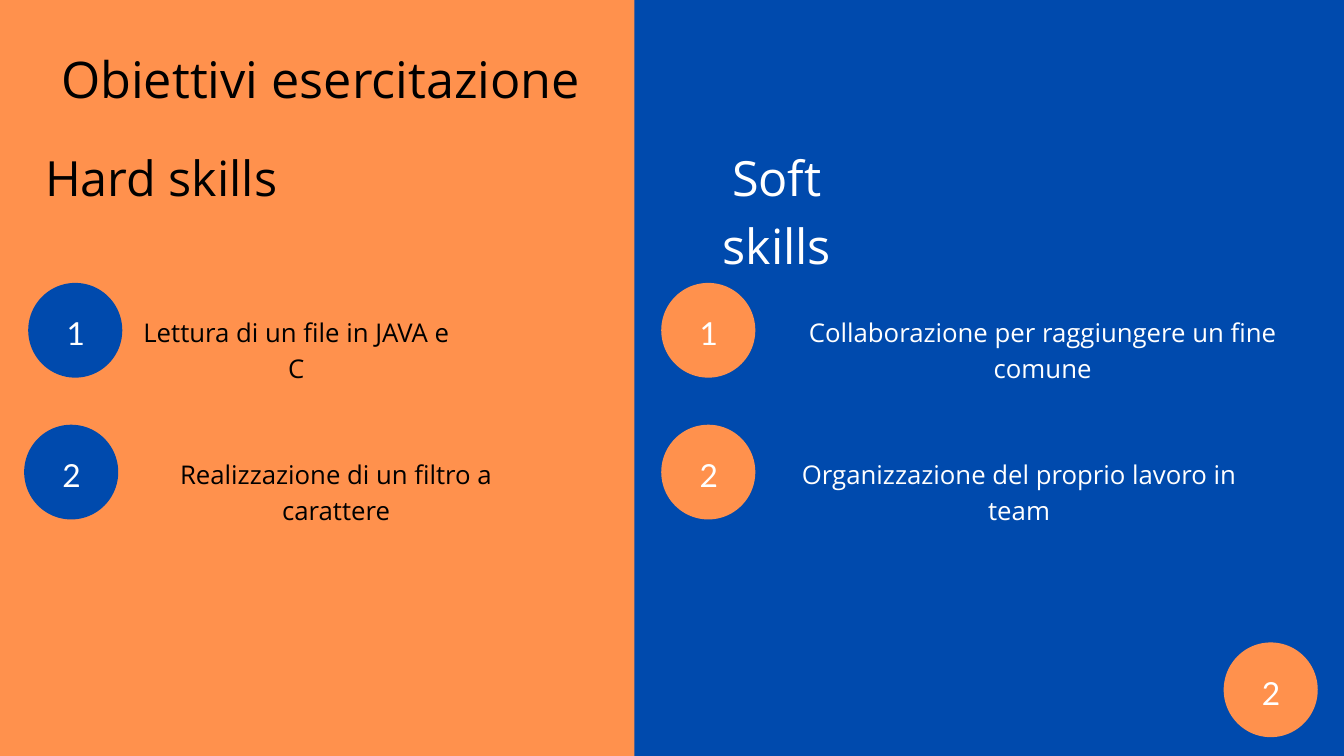
from pptx import Presentation
from pptx.dml.color import RGBColor
from pptx.enum.shapes import MSO_SHAPE as Kind
from pptx.enum.text import PP_ALIGN as Align, MSO_AUTO_SIZE as Fit
from pptx.util import Inches, Pt

ORANGE, BLUE, BLACK, WHITE = "FF914D", "004AAD", "000000", "FFFFFF"
HEADS = [
    ("Obiettivi esercitazione", 0.36, 0.56, 8.83, 1.01, 54, BLACK),
    ("Hard skills", 0.67, 2.06, 3.46, 0.96, 52, BLACK),
    ("Soft skills", 10, 2.06, 3.12, 0.96, 52, WHITE),
]
SKILLS = [
    (BLUE, BLACK, [
        (0.42, 2.04, 4.74, "Lettura di un file in JAVA e C"),
        (0.36, 1.94, 6.12, "Realizzazione di un filtro a carattere"),
    ]),
    (ORANGE, WHITE, [
        (9.84, 11.41, 8.21, "Collaborazione per raggiungere un fine comune"),
        (9.84, 11.56, 7.21, "Organizzazione del proprio lavoro in team"),
    ]),
]
PAGE = (18.21, 9.56, "2")
TOP, STEP = 4.21, 2.11
FRAME = dict(word_wrap=True, auto_size=Fit.NONE, margin_left=0,
             margin_right=0, margin_top=0, margin_bottom=0)


def apply(item, form):
    for key, value in form.items():
        setattr(item, key, value)


def tint(name):
    return RGBColor.from_string(name)


def block(kind, x, y, w, h, fill):
    shape = slide.shapes.add_shape(kind, *map(Inches, (x, y, w, h)))
    shape.shadow.inherit = False
    shape.fill.solid()
    shape.fill.fore_color.rgb = tint(fill)
    shape.line.fill.background()


def write(text, x, y, w, h, size, color, face="Open Sans"):
    frame = slide.shapes.add_textbox(*map(Inches, (x, y, w, h))).text_frame
    apply(frame, FRAME)
    line = frame.paragraphs[0]
    apply(line, dict(alignment=Align.CENTER, line_spacing=Pt(round(size * 1.4, 1))))
    run = line.add_run()
    run.text = text
    apply(run.font, dict(name=face, size=Pt(size)))
    run.font.color.rgb = tint(color)


def badge(x, y, text, fill):
    block(Kind.OVAL, x, y, 1.4, 1.41, fill)
    write(text, x + 0.57, y + 0.37, 0.27, 0.62, 34, WHITE, "Lato")


deck = Presentation()
apply(deck, dict(slide_width=Inches(20), slide_height=Inches(11.25)))
slide = deck.slides.add_slide(deck.slide_layouts[6])
slide.background.fill.solid()
slide.background.fill.fore_color.rgb = tint(ORANGE)

block(Kind.RECTANGLE, 9.44, 0, 10.56, 11.25, BLUE)
badge(*PAGE, ORANGE)
for head in HEADS:
    write(*head)
for fill, ink, rows in SKILLS:
    for i, (left, x, w, text) in enumerate(rows):
        y = TOP + i * STEP
        badge(left, y, str(i + 1), fill)
        write(text, x, y + 0.43, w, 0.51, 27.6, ink)

deck.save("out.pptx")
